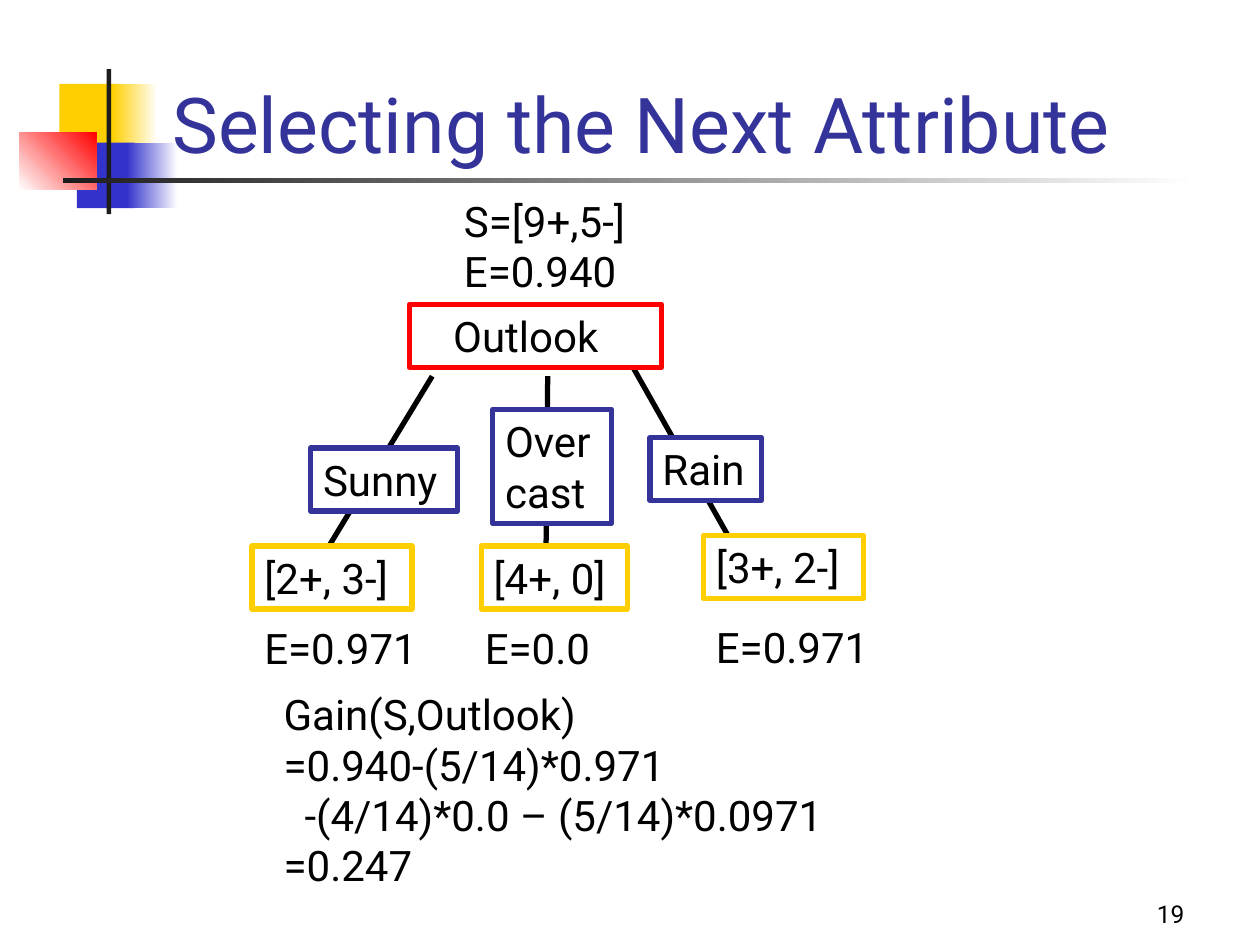
from lxml import etree
from pptx import Presentation
from pptx import util as u
from pptx.dml.color import RGBColor
from pptx.enum import shapes, text
from pptx.oxml import ns

Pt = u.Pt
FONT = "Roboto"
COLORS = {
    "white": "FFFFFF",
    "black": "000000",
    "charcoal": "1C1C1C",
    "yellow": "FFCF01",
    "blue": "3333CC",
    "navy": "333399",
    "red": "FF0000",
}
BOX_HEIGHT = 36


def rgb(name):
    return RGBColor.from_string(COLORS[name])


def write_text(shape, lines, size=24, color="black", align="LEFT", anchor="TOP",
               wrap=False, grow=True, left_inset=7.2, line_spacing=None, indents=None):
    """Write one paragraph per line; indents maps a line number to a left margin."""
    frame = shape.text_frame
    frame.word_wrap = wrap
    frame.auto_size = (text.MSO_AUTO_SIZE.SHAPE_TO_FIT_TEXT if grow
                       else text.MSO_AUTO_SIZE.NONE)
    frame.vertical_anchor = text.MSO_ANCHOR[anchor]
    frame.margin_left = Pt(left_inset)
    for number, line in enumerate(lines):
        paragraph = frame.add_paragraph() if number else frame.paragraphs[0]
        paragraph.text = line
        paragraph.alignment = text.PP_ALIGN[align]
        if line_spacing:
            paragraph.line_spacing = line_spacing
        if indents and number in indents:
            paragraph._p.get_or_add_pPr().set("marL", str(Pt(indents[number])))
        paragraph.font.name = FONT
        paragraph.font.size = Pt(size)
        paragraph.font.color.rgb = rgb(color)


def add_label(slide, bounds, *lines, **text_format):
    box = slide.shapes.add_textbox(*map(Pt, bounds))
    write_text(box, lines, **text_format)


def add_rectangle(slide, bounds, fill):
    shape = slide.shapes.add_shape(shapes.MSO_SHAPE.RECTANGLE, *map(Pt, bounds))
    shape.shadow.inherit = False
    shape.fill.solid()
    shape.fill.fore_color.rgb = rgb(fill)
    shape.line.fill.background()
    return shape


def add_gradient(slide, bounds, start, end, angle=0):
    fill = add_rectangle(slide, bounds, start).fill
    fill.gradient()
    fill.gradient_angle = angle
    for stop, color, position in zip(fill.gradient_stops, (start, end), (0, 1)):
        stop.color.rgb = rgb(color)
        stop.position = position


def add_node(slide, bounds, outline, *lines, **text_format):
    shape = add_rectangle(slide, bounds, "white")
    shape.line.color.rgb = rgb(outline)
    shape.line.width = Pt(3)
    write_text(shape, lines, **text_format)


def add_branch(slide, *ends):
    line = slide.shapes.add_connector(shapes.MSO_CONNECTOR.STRAIGHT, *map(Pt, ends))
    line.line.color.rgb = rgb("black")
    line.line.width = Pt(3)
    etree.SubElement(line._element.spPr, ns.qn("a:effectLst"))


def add_decoration(slide):
    add_rectangle(slide, (34, 48, 34.5, 37.5), "yellow")
    add_gradient(slide, (64, 48, 26, 37.5), "yellow", "white")
    add_rectangle(slide, (44, 81.5, 33, 37.5), "blue")
    add_gradient(slide, (72.5, 81.5, 29, 37.5), "blue", "white")
    add_gradient(slide, (11, 75.5, 44, 33), "white", "red", angle=45)
    add_rectangle(slide, (61, 39.5, 2.5, 83), "charcoal")
    add_gradient(slide, (36, 102, 648, 2.5), "charcoal", "white")


def add_tree(slide):
    for ends in ((247, 215, 188, 312), (361.5, 209.5, 416, 306), (313, 215, 312, 318)):
        add_branch(slide, *ends)

    add_label(slide, (258, 108, 112, 65), "S=[9+,5-]", "E=0.940")
    add_node(slide, (234, 174, 144, BOX_HEIGHT), "red", "Outlook", wrap=True, left_inset=25)

    add_node(slide, (177.5, 256, 84, BOX_HEIGHT), "navy", "Sunny")
    add_node(slide, (281.5, 234, 68, 65), "navy", "Over", "cast")
    add_node(slide, (371.5, 250, 63.5, BOX_HEIGHT), "navy", "Rain")

    add_node(slide, (144, 312, 91.5, BOX_HEIGHT), "yellow", "[2+, 3-]")
    add_node(slide, (275, 312, 83.5, BOX_HEIGHT), "yellow", "[4+, 0]")
    add_node(slide, (402, 306, 91.5, BOX_HEIGHT), "yellow", "[3+, 2-]")

    add_label(slide, (144, 360, 108, 27.5), "E=0.971", wrap=True, line_spacing=0.7)
    add_label(slide, (270, 360, 108, 27.5), "E=0.0", wrap=True, line_spacing=0.7)
    add_label(slide, (402, 351.5, 108, BOX_HEIGHT), "E=0.971", wrap=True)


def main():
    presentation = Presentation()
    presentation.slide_width, presentation.slide_height = Pt(720), Pt(540)
    slide = presentation.slides.add_slide(presentation.slide_layouts[6])

    add_decoration(slide)
    add_label(slide, (91.5, 10, 613.5, 90), "Selecting the Next Attribute",
              size=44, color="navy", anchor="BOTTOM", wrap=True, grow=False)
    add_tree(slide)
    add_label(slide, (155, 390, 323, 122.5), "Gain(S,Outlook)", "=0.940-(5/14)*0.971",
              "-(4/14)*0.0 – (5/14)*0.0971", "=0.247", indents={2: 12})
    add_label(slide, (534, 498, 150, 36), "19", size=14, align="RIGHT",
              anchor="BOTTOM", wrap=True, grow=False)

    presentation.save("out.pptx")


if __name__ == "__main__":
    main()
